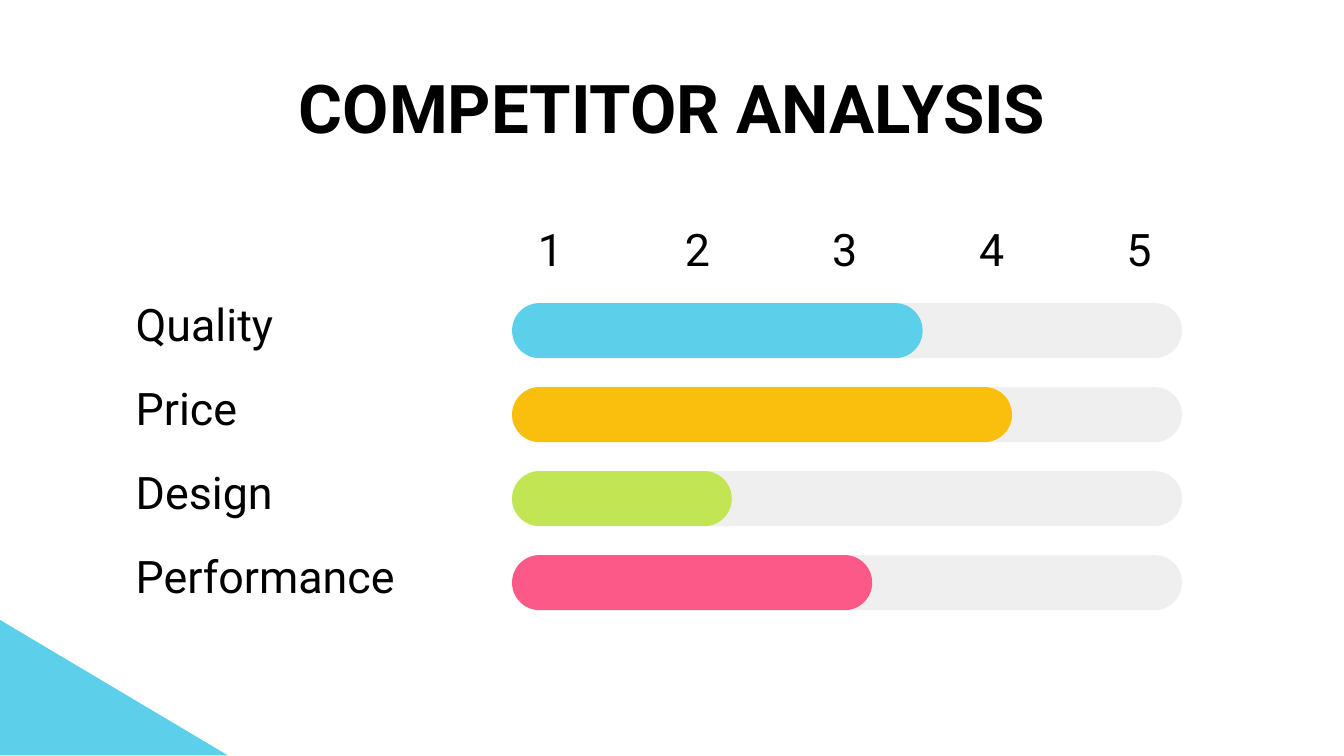
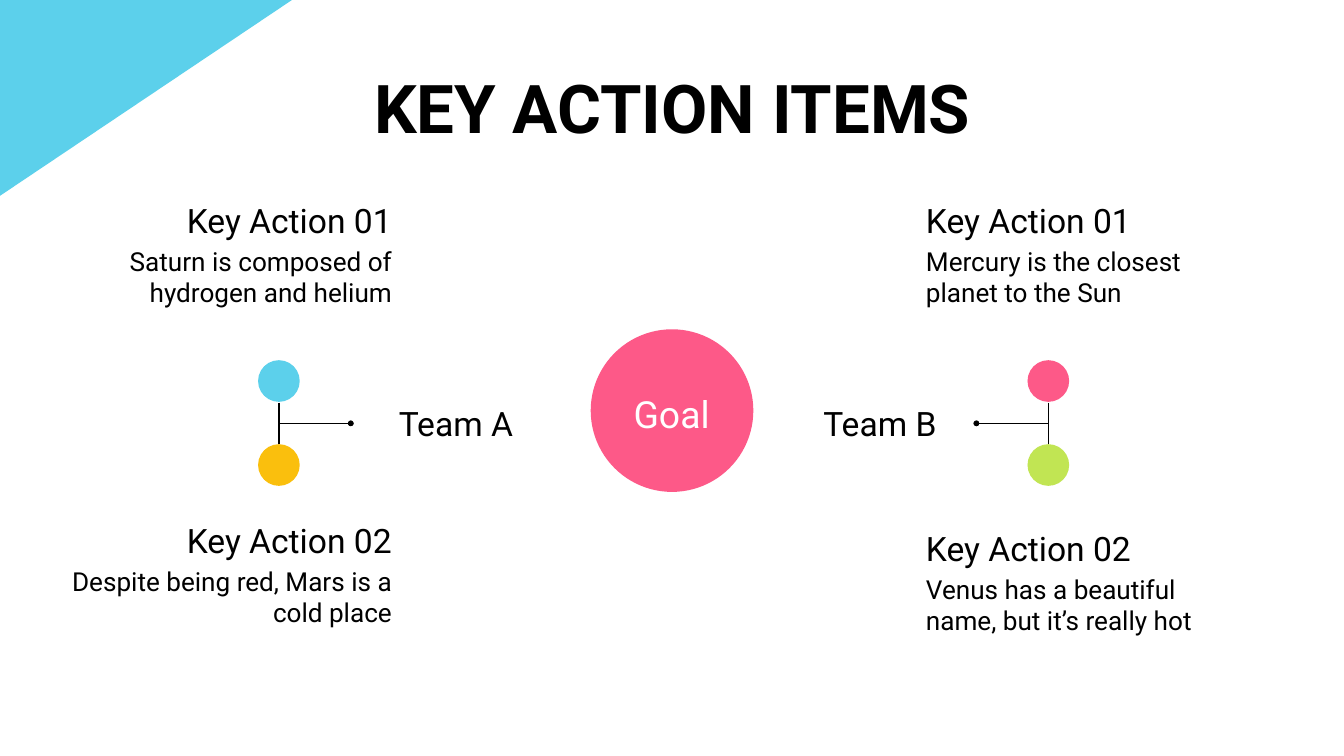
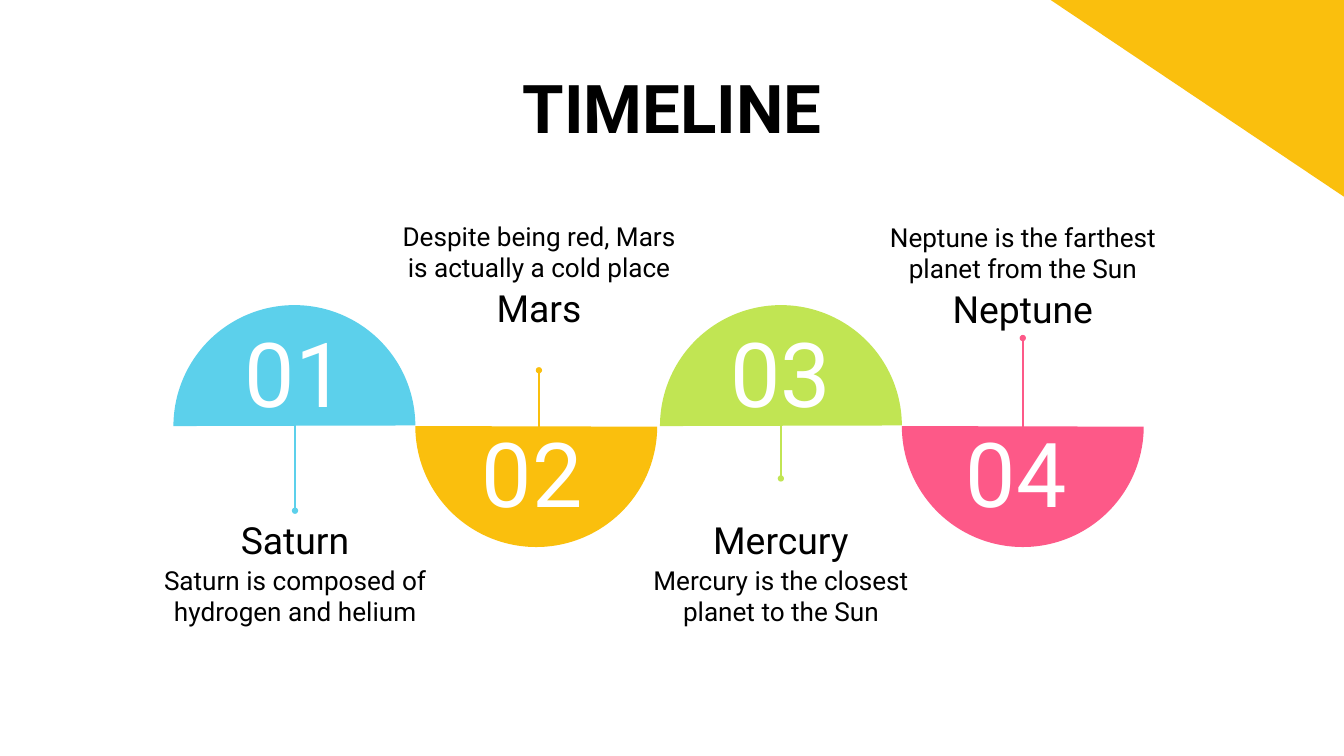
import pptx
import pptx.dml.color
import pptx.enum.shapes
import pptx.enum.text
import pptx.oxml.ns
import pptx.util
from lxml import etree
from pptx.util import Inches

BLACK, WHITE, GRAY = "000000", "FFFFFF", "EFEFEF"
BLUE, GOLD, LIME, PINK = "5CD0EB", "FABF0D", "C1E553", "FD5988"
FONT = "Roboto"
FORM = pptx.enum.shapes.MSO_SHAPE
WIRE = pptx.enum.shapes.MSO_CONNECTOR
ALIGN = pptx.enum.text.PP_ALIGN
ANCHOR = pptx.enum.text.MSO_ANCHOR
TOP, MID, LOW = ANCHOR.TOP, ANCHOR.MIDDLE, ANCHOR.BOTTOM
LEFT, RIGHT, CENTER = ALIGN.LEFT, ALIGN.RIGHT, ALIGN.CENTER
qn = pptx.oxml.ns.qn


def color(code):
    return pptx.dml.color.RGBColor.from_string(code)


class Deck:
    """Holds the shared style and the slide being built."""

    def __init__(self):
        self.show = pptx.Presentation()
        self.show.slide_width = Inches(20)
        self.show.slide_height = Inches(11.25)

    def page(self, title):
        self.slide = self.show.slides.add_slide(self.show.slide_layouts[6])
        back = self.slide.background.fill
        back.solid()
        back.fore_color.rgb = color(WHITE)
        self.text((1.44, 0.79, 17.13, 1.25), title, 72, bold=True)

    def text(self, box, words, size, align=CENTER, anchor=TOP, tint=BLACK, bold=False):
        frame = self.slide.shapes.add_textbox(*map(Inches, box)).text_frame
        frame.word_wrap = True
        frame.vertical_anchor = anchor
        frame.margin_left = frame.margin_right = Inches(0.2)
        frame.margin_top = frame.margin_bottom = Inches(0.2)
        para = frame.paragraphs[0]
        para.alignment = align
        run = para.add_run()
        run.text = words
        run.font.name = FONT
        run.font.size = pptx.util.Pt(size)
        run.font.bold = bold
        run.font.color.rgb = color(tint)

    def shape(self, form, box, tint, turn=0, flip=False, bends=()):
        item = self.slide.shapes.add_shape(form, *map(Inches, box))
        item.shadow.inherit = False
        item.fill.solid()
        item.fill.fore_color.rgb = color(tint)
        item.line.fill.background()
        item.rotation = turn
        if flip:
            item.element.spPr.xfrm.set("flipH", "1")
        for spot, bend in enumerate(bends):
            item.adjustments[spot] = bend

    def line(self, start, end, tint, width, kind=WIRE.STRAIGHT):
        item = self.slide.shapes.add_connector(kind, *map(Inches, start + end))
        item.line.color.rgb = color(tint)
        item.line.width = pptx.util.Pt(width)
        etree.SubElement(item.line._get_or_add_ln(), qn("a:tailEnd"), type="oval")
        etree.SubElement(item.element.spPr, qn("a:effectLst"))
        return item

    def elbow(self, left, top, turn, flip):
        end = (left + 0.31, top + 1.07)
        props = self.line((left, top), end, BLACK, 1.5, WIRE.ELBOW).element.spPr
        props.find(qn("a:prstGeom")).set("prst", "bentConnector2")
        props.xfrm.set("rot", str(turn * 60000))
        if flip:
            props.xfrm.set("flipH", "1")


def rating(deck):
    deck.page("COMPETITOR ANALYSIS")
    bars = [("Quality", 6.11, BLUE), ("Price", 7.44, GOLD),
            ("Design", 3.27, LIME), ("Performance", 5.36, PINK)]
    for row, (name, width, tint) in enumerate(bars):
        top = 4.51 + 1.25 * row
        deck.text((1.82, top, 4.93, 0.9), name, 48, LEFT, LOW)
        for span, fill in ((9.97, GRAY), (width, tint)):
            deck.shape(FORM.ROUNDED_RECTANGLE, (7.62, top, span, 0.82), fill, bends=[0.5])
    for step in range(5):
        deck.text((7.54 + 2.19 * step, 3.4, 1.3, 0.9), str(step + 1), 48, anchor=LOW)
    deck.shape(FORM.RIGHT_TRIANGLE, (-0.11, 9.16, 3.5, 2.08), BLUE)


def actions(deck):
    deck.page("KEY ACTION ITEMS")
    deck.shape(FORM.OVAL, (8.79, 4.9, 2.42, 2.42), PINK)
    deck.text((8.01, 5.53, 3.97, 1.26), "Goal", 40, anchor=MID, tint=WHITE)
    teams = [
        ("Team A", 5.22, RIGHT, 0.6, 0.83, 3.84, 4.53, 270, [
            (2.81, BLUE, True, "Saturn is composed of hydrogen and helium"),
            (7.57, GOLD, False, "Despite being red, Mars is a cold place")]),
        ("Team B", 11.53, LEFT, 13.58, 13.58, 15.29, 14.91, 90, [
            (2.81, PINK, False, "Mercury is the closest planet to the Sun"),
            (7.69, LIME, True, "Venus has a beautiful name, but it’s really hot")]),
    ]
    for team, left, align, head, body, dot, bend, turn, items in teams:
        deck.text((left, 5.81, 3.13, 0.97), team, 36, anchor=MID)
        for row, (top, tint, flip, note) in enumerate(items):
            deck.text((body, top + 0.64, 5.2, 1.36), note, 28, align)
            deck.text((head, top, 5.43, 0.97), f"Key Action 0{row + 1}", 36, align, LOW)
            deck.shape(FORM.OVAL, (dot, 5.36 + 1.25 * row, 0.62, 0.62), tint)
            deck.elbow(bend, 5.61 + 0.31 * row, turn, flip)
    deck.shape(FORM.RIGHT_TRIANGLE, (-0.65, -0.52, 5.77, 3.87), BLUE, 180, True)


def timeline(deck):
    deck.page("TIMELINE")
    stops = [
        ("Saturn", "Saturn is composed of hydrogen and helium", BLUE, 2.58, 4.39, 7.6, 8.2),
        ("Mars", "Despite being red, Mars is actually a cold place", GOLD, 6.18, 8.02, 5.51, 3.05),
        ("Mercury", "Mercury is the closest planet to the Sun", LIME, 9.82, 11.62, 7.12, 8.2),
        ("Neptune", "Neptune is the farthest planet from the Sun", PINK, 13.42, 15.22, 5.03, 3.07),
    ]
    for spot, (name, note, tint, left, mid, tip, top) in enumerate(stops):
        down = spot % 2 == 1
        deck.shape(FORM.CHORD, (left, 4.54, 3.6, 3.6), tint,
                   45 if down else 135, down, [27, 134.83])
        deck.line((mid, 6.35 if down else 6.34), (mid, tip), tint, 2.25)
        deck.text((mid - 2.26, top, 4.52, 1.36), note, 28, anchor=LOW if down else TOP)
        if down:
            deck.text((mid - 1.82, top + 0.99, 3.64, 0.97), name, 40)
        else:
            deck.text((mid - 1.9, top - 0.6, 3.8, 0.97), name, 40, anchor=LOW)
        box = (mid - 2, 6.54, 3.8, 0.97) if down else (mid - 1.9, 5.04, 3.8, 0.97)
        deck.text(box, f"0{spot + 1}", 96, anchor=MID, tint=WHITE)
    deck.shape(FORM.RIGHT_TRIANGLE, (14.86, -0.52, 5.77, 3.87), GOLD, 180)


def main():
    deck = Deck()
    for build in (rating, actions, timeline):
        build(deck)
    deck.show.save("out.pptx")


if __name__ == "__main__":
    main()
